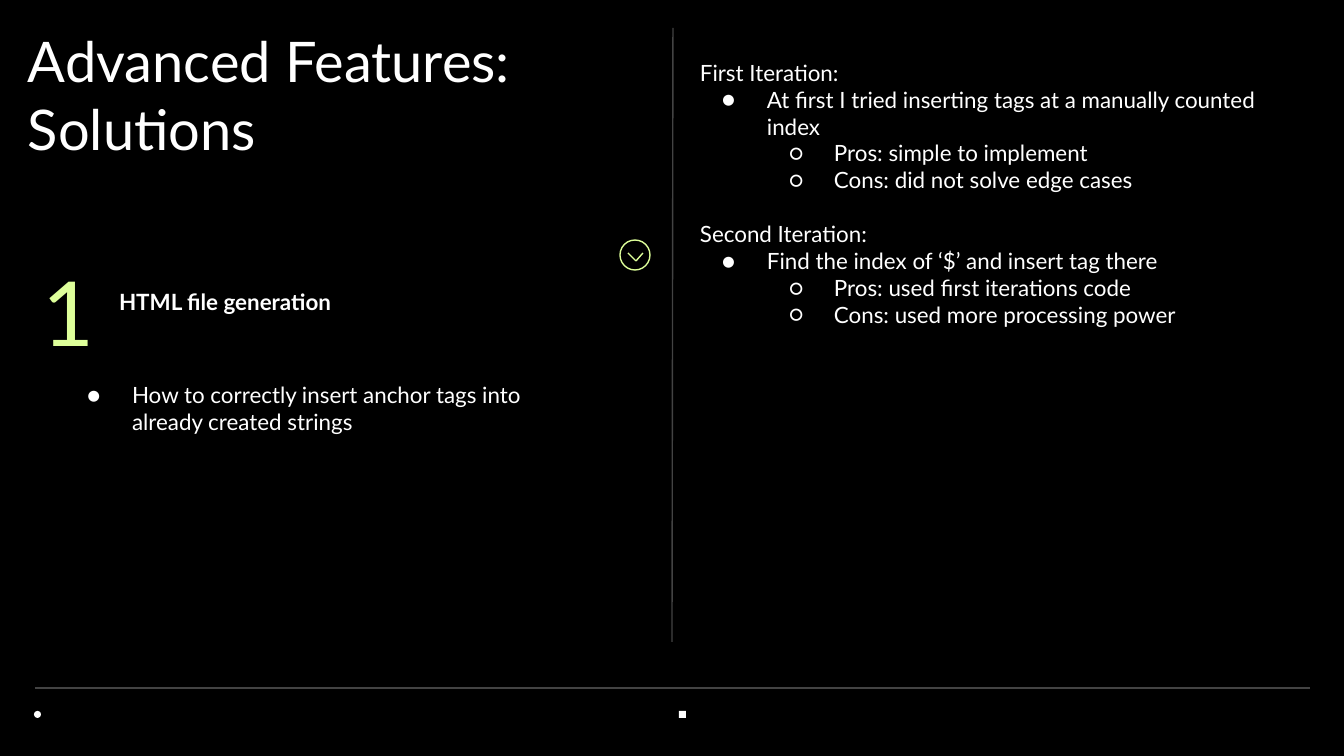
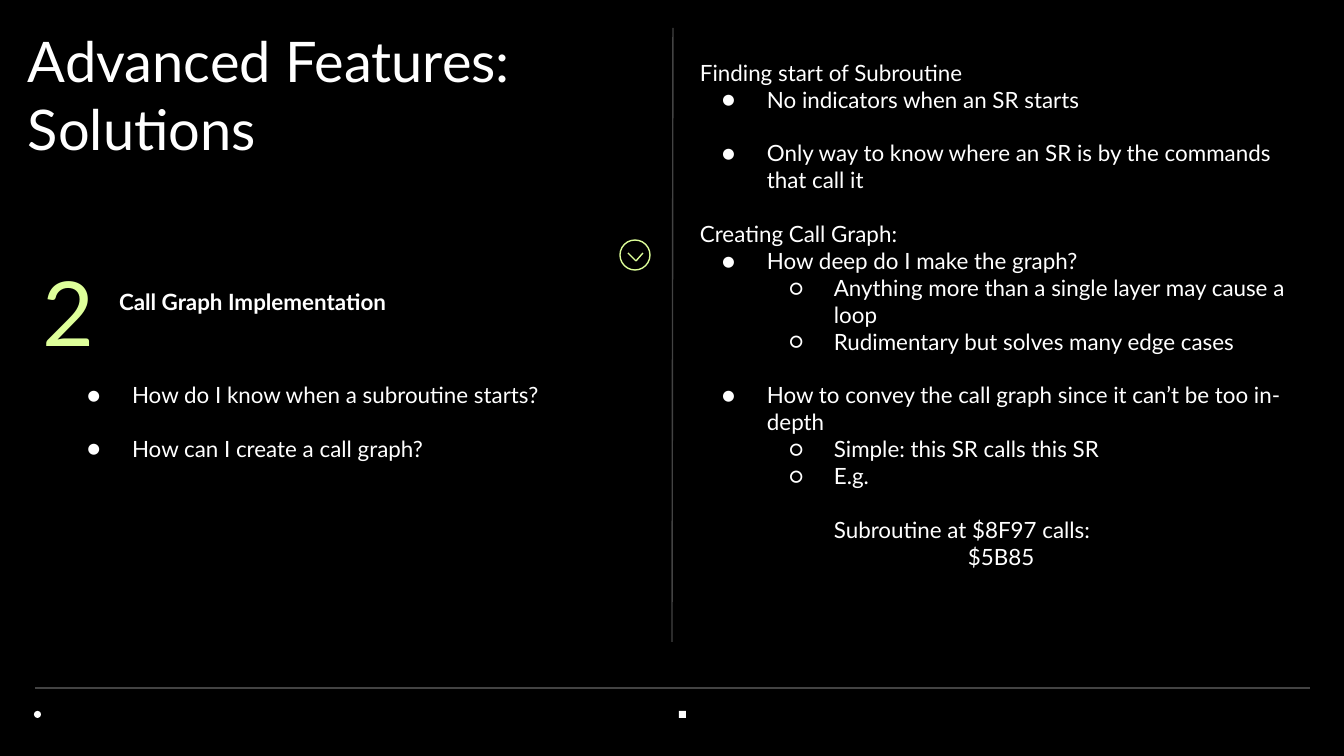
from lxml.etree import SubElement as Sub
from pptx import Presentation
from pptx.dml.color import RGBColor
from pptx.enum.shapes import MSO_CONNECTOR as Link, MSO_SHAPE as Form
from pptx.enum.text import MSO_ANCHOR as Anchor, MSO_AUTO_SIZE as Fit, PP_ALIGN as Align
from pptx.oxml.ns import qn
from pptx.util import Emu, Pt

SCALE = 914400 / 134.4
FONT = "Lato"
BLACK, WHITE, GREY, LIME = "000000", "FFFFFF", "434343", "DEFF9A"
PAD, STEP, HANG = 13, 67, 45
GAP = 14.4
KINDS = {
    "head": (0, ""),
    "dot": (1, "●"),
    "ring": (2, "○"),
    "plain": (2, ""),
    "deep": (4, ""),
}

TOPICS = [
    {
        "number": "1",
        "label": "HTML file generation",
        "title_h": 149,
        "notes_h": 445,
        "asks": [("dot", "How to correctly insert anchor tags into already created strings")],
        "notes": [
            ("head", "First Iteration:"),
            ("dot", "At first I tried inserting tags at a manually counted index"),
            ("ring", "Pros: simple to implement"),
            ("ring", "Cons: did not solve edge cases"),
            ("head", "Second Iteration:", GAP),
            ("dot", "Find the index of ‘$’ and insert tag there"),
            ("ring", "Pros: used first iterations code"),
            ("ring", "Cons: used more processing power"),
        ],
    },
    {
        "number": "2",
        "label": "Call Graph Implementation",
        "title_h": 218,
        "notes_h": 534,
        "asks": [
            ("dot", "How do I know when a subroutine starts?"),
            ("dot", "How can I create a call graph?", GAP),
        ],
        "notes": [
            ("head", "Finding start of Subroutine"),
            ("dot", "No indicators when an SR starts"),
            ("dot", "Only way to know where an SR is by the commands that call it", GAP),
            ("head", "Creating Call Graph:", GAP),
            ("dot", "How deep do I make the graph?"),
            ("ring", "Anything more than a single layer may cause a loop"),
            ("ring", "Rudimentary but solves many edge cases"),
            ("dot", "How to convey the call graph since it can’t be too in-depth", GAP),
            ("ring", "Simple: this SR calls this SR"),
            ("ring", "E.g."),
            ("plain", "Subroutine at $8F97 calls:", GAP),
            ("deep", "$5B85"),
        ],
    },
]


def px(size):
    """Turn px into EMU."""
    return Emu(round(size * SCALE))


def color(code):
    """Turn a hex string into a colour."""
    return RGBColor.from_string(code)


def add_line(shapes, start, end, code):
    """Draw a thin straight line."""
    line = shapes.add_connector(Link.STRAIGHT, *map(px, start + end))
    line.line.color.rgb = color(code)
    line.line.width = Pt(0.75)
    Sub(line._element.spPr, qn("a:effectLst"))


def add_form(shapes, kind, box, fill=None, edge=None):
    """Draw a preset shape with a fill or an edge."""
    form = shapes.add_shape(kind, *map(px, box))
    form.shadow.inherit = False
    if fill:
        form.fill.solid()
        form.fill.fore_color.rgb = color(fill)
    else:
        form.fill.background()
    if edge:
        form.line.color.rgb = color(edge)
        form.line.width = Pt(0.75)
    else:
        form.line.fill.background()


def set_frame(shape, lead=PAD, anchor=Anchor.TOP):
    """Set the insets, wrap and anchor of a text frame."""
    frame = shape.text_frame
    frame.word_wrap = True
    frame.auto_size = Fit.NONE
    frame.vertical_anchor = anchor
    frame.margin_left = frame.margin_top = px(lead)
    frame.margin_right = frame.margin_bottom = px(PAD)
    return frame


def add_run(para, text, size=12, code=WHITE, bold=False):
    """Add one styled run."""
    run = para.add_run()
    run.text = text
    font = run.font
    font.name, font.size, font.bold = FONT, Pt(size), bold
    font.color.rgb = color(code)


def add_text(slide, box, text, lead=PAD, anchor=Anchor.TOP, align=Align.LEFT, **style):
    """Add a box with one line of text."""
    frame = set_frame(slide.shapes.add_textbox(*map(px, box)), lead, anchor)
    para = frame.paragraphs[0]
    para.alignment = align
    para.line_spacing = 1.15
    add_run(para, text, **style)


def set_indent(para, depth, mark):
    """Indent a paragraph and give it a bullet."""
    props = para._p.get_or_add_pPr()
    props.set("marL", str(px(depth * STEP)))
    props.set("indent", str(px(-HANG if mark else 0)))
    if mark:
        para.level = depth - 1
        tint = Sub(props, qn("a:buClr"))
        Sub(tint, qn("a:srgbClr"), val=WHITE)
        Sub(props, qn("a:buFont"), typeface=FONT)
        Sub(props, qn("a:buChar"), char=mark)


def add_list(slide, box, items):
    """Add a box of headings and nested bullets."""
    frame = set_frame(slide.shapes.add_textbox(*map(px, box)))
    for i, (kind, text, *gap) in enumerate(items):
        para = frame.add_paragraph() if i else frame.paragraphs[0]
        set_indent(para, *KINDS[kind])
        if gap:
            para.space_before = Pt(gap[0])
        add_run(para, text)


def set_title(slide, text, high):
    """Place and style the title."""
    title = slide.shapes.title
    title.left, title.top, title.width, title.height = map(px, (28, 27, 536, high))
    para = set_frame(title, 0).paragraphs[0]
    para.alignment = Align.LEFT
    add_run(para, text, size=30)


def add_base(slide):
    """Draw the footer marks and the rules."""
    add_form(slide.shapes, Form.OVAL, (34, 711, 7, 7), fill=WHITE)
    add_form(slide.shapes, Form.RECTANGLE, (679, 711, 7, 7), fill=WHITE)
    add_line(slide.shapes, (35, 688), (1310, 688), GREY)
    add_line(slide.shapes, (673, 28), (672, 642), GREY)


def add_icon(slide):
    """Draw the ringed chevron."""
    shapes = slide.shapes.add_group_shape().shapes
    add_form(shapes, Form.OVAL, (620, 240, 30, 30), edge=LIME)
    for side in (628, 643):
        add_line(shapes, (side, 253), (636, 261), LIME)


def add_topic(deck, topic):
    """Build the slide of one topic."""
    slide = deck.slides.add_slide(deck.slide_layouts.get_by_name("Title Only"))
    add_base(slide)
    add_icon(slide)
    set_title(slide, "Advanced Features: Solutions", topic["title_h"])
    add_text(slide, (43, 241, 65, 116), topic["number"], lead=0,
             align=Align.CENTER, size=48, code=LIME)
    add_list(slide, (52, 368, 548, 290), topic["asks"])
    add_text(slide, (106, 266, 477, 67), topic["label"], anchor=Anchor.MIDDLE, bold=True)
    add_list(slide, (687, 46, 616, topic["notes_h"]), topic["notes"])


def main():
    """Build and save the deck."""
    deck = Presentation()
    deck.slide_width, deck.slide_height = px(1344), px(756)
    fill = deck.slide_master.background.fill
    fill.solid()
    fill.fore_color.rgb = color(BLACK)
    for topic in TOPICS:
        add_topic(deck, topic)
    deck.save("out.pptx")


if __name__ == "__main__":
    main()
